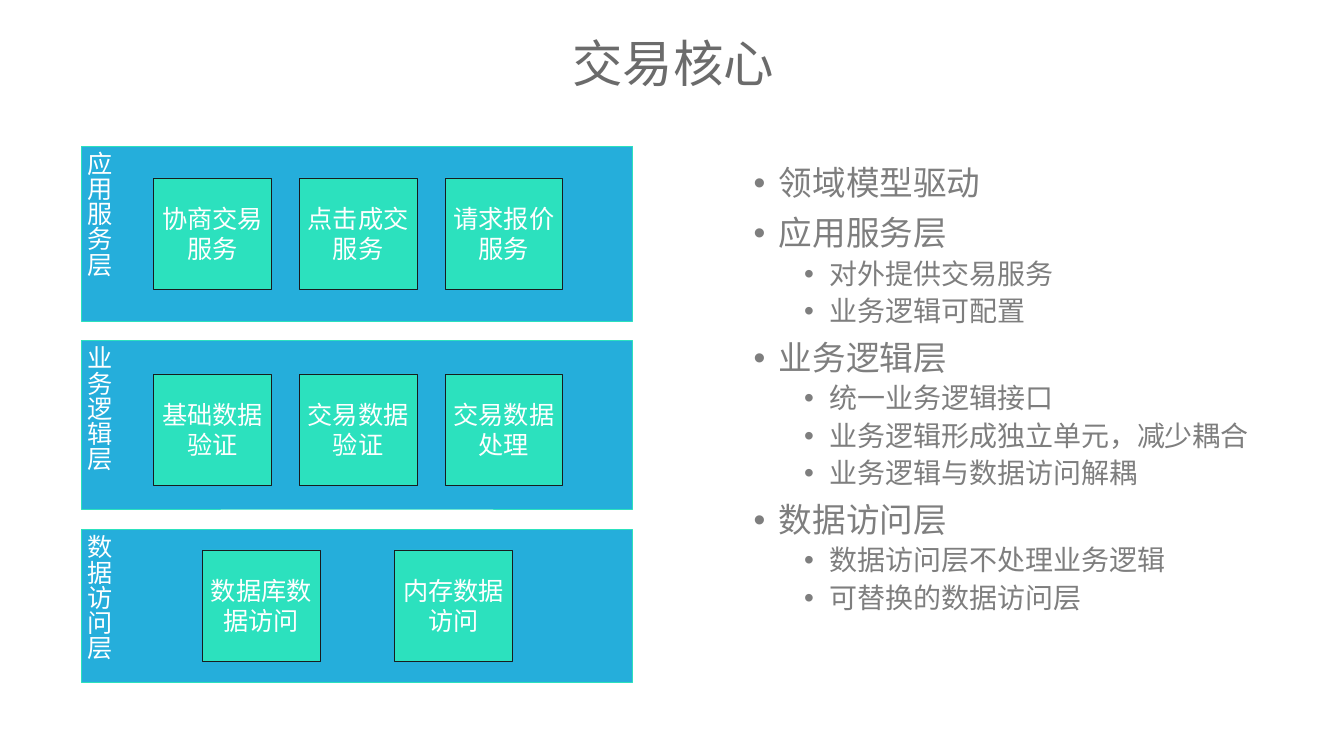
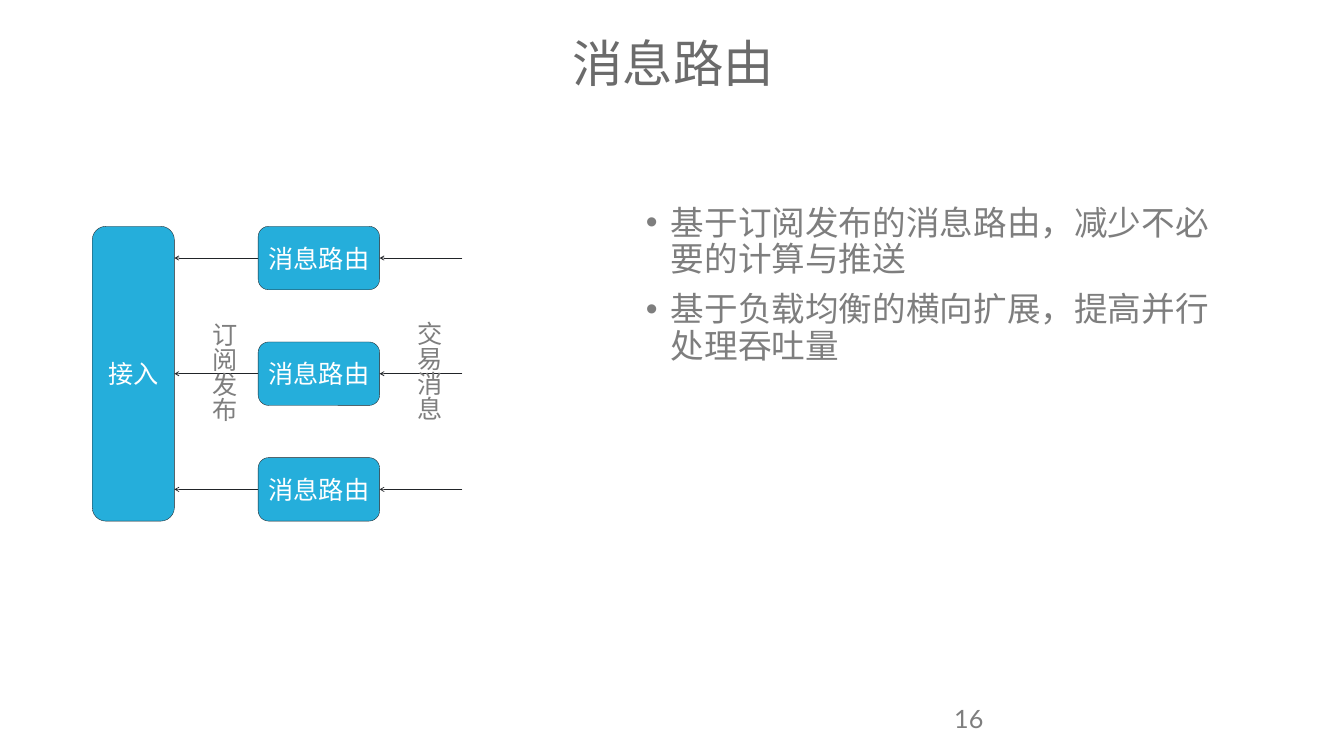
import pptx
import pptx.util
import pptx.dml.color
import pptx.enum.shapes
import pptx.enum.text
import pptx.oxml
import pptx.oxml.ns

Inches = pptx.util.Inches
Pt = pptx.util.Pt
SHAPE = pptx.enum.shapes.MSO_SHAPE
ANCHOR = pptx.enum.text.MSO_ANCHOR
ALIGN = pptx.enum.text.PP_ALIGN
FIT = pptx.enum.text.MSO_AUTO_SIZE
qn = pptx.oxml.ns.qn

COLORS = {
    "title": "6B6B6B",
    "text": "7E7E7E",
    "white": "FFFFFF",
    "blue": "25AEDB",
    "green": "2CE1BE",
    "box_line": "181B1E",
    "line": "212428",
}
CJK = "Noto Sans CJK SC"
FRAME_GROW = {"auto_size": FIT.SHAPE_TO_FIT_TEXT, "word_wrap": False}
NO_INSETS = {"margin_left": 0, "margin_right": 0, "margin_top": 0, "margin_bottom": 0}
BODY_INSETS = {
    "margin_left": Inches(0.2), "margin_right": Inches(0.2),
    "margin_top": Inches(0.1), "margin_bottom": Inches(0.1),
}
BULLETS = [
    {"size": 48, "margin": 0.5, "before": 20},
    {"size": 40, "margin": 1.5, "before": 10},
]

LAYERS = [
    ("应用服务层", 2.9, 3.47, 3.53, 3.05, 2.89,
     ["协商交易服务", "点击成交服务", "请求报价服务"]),
    ("业务逻辑层", 6.76, 3.34, 7.42, 3.05, 2.89,
     ["基础数据验证", "交易数据验证", "交易数据处理"]),
    ("数据访问层", 10.51, 3.03, 10.91, 4.02, 3.81,
     ["数据库数据访问", "内存数据访问"]),
]
CORE_POINTS = [
    (0, "领域模型驱动"),
    (0, "应用服务层"),
    (1, "对外提供交易服务"),
    (1, "业务逻辑可配置"),
    (0, "业务逻辑层"),
    (1, "统一业务逻辑接口"),
    (1, "业务逻辑形成独立单元，减少耦合"),
    (1, "业务逻辑与数据访问解耦"),
    (0, "数据访问层"),
    (1, "数据访问层不处理业务逻辑"),
    (1, "可替换的数据访问层"),
]
ROUTING_POINTS = [
    (0, "基于订阅发布的消息路由，减少不必要的计算与推送"),
    (0, "基于负载均衡的横向扩展，提高并行处理吞吐量"),
]


def rgb(name):
    return pptx.dml.color.RGBColor.from_string(COLORS[name])


def apply(target, values):
    for name, value in values.items():
        setattr(target, name, value)


def add_text(p, text, size, color, font="Lato"):
    r = p.add_run()
    r.text = text
    apply(r.font, {"size": Pt(size), "name": font, "bold": False})
    r.font.color.rgb = rgb(color)
    ea = pptx.oxml.ns.qn("a:ea")
    r.font._element.makeelement(ea)
    latin = r.font._element.find(qn("a:latin"))
    latin.addnext(latin.makeelement(ea, {"typeface": CJK}))


def set_vertical(tf):
    tf._txBody.bodyPr.set("vert", "eaVert")


def add_slide(prs, title):
    s = prs.slides.add_slide(prs.slide_layouts[5])
    sp = s.shapes.title
    apply(sp, {"left": Inches(11.33), "top": Inches(0.63),
               "width": Inches(4.04), "height": Inches(1.21)})
    tf = sp.text_frame
    apply(tf, {**FRAME_GROW, **NO_INSETS, "vertical_anchor": ANCHOR.MIDDLE})
    p = tf.paragraphs[0]
    p.alignment = ALIGN.CENTER
    add_text(p, title, 72, "title", CJK)
    return s


def add_box(s, kind, at, text, fill, line, width, font="Lato"):
    sp = s.shapes.add_shape(kind, *map(Inches, at))
    sp.shadow.inherit = False
    sp.fill.solid()
    sp.fill.fore_color.rgb = rgb(fill)
    sp.line.color.rgb = rgb(line)
    sp.line.width = Pt(width)
    tf = sp.text_frame
    apply(tf, {"word_wrap": True, "vertical_anchor": ANCHOR.MIDDLE})
    p = tf.paragraphs[0]
    p.alignment = ALIGN.CENTER
    add_text(p, text, 36, "white", font)
    return sp


def add_layer(s, label, top, height, box_top, left, step, boxes):
    band = add_box(s, SHAPE.RECTANGLE, (1.61, top, 10.94, height),
                   label, "blue", "green", 0.5)
    band.text_frame.vertical_anchor = ANCHOR.BOTTOM
    set_vertical(band.text_frame)
    for i, text in enumerate(boxes):
        add_box(s, SHAPE.RECTANGLE, (left + i * step, box_top, 2.33, 2.21),
                text, "green", "box_line", 1)


def add_label(s, at, text, vertical=False):
    tf = s.shapes.add_textbox(*map(Inches, at)).text_frame
    if vertical:
        apply(tf, FRAME_GROW)
        set_vertical(tf)
    else:
        tf.word_wrap = True
    add_text(tf.paragraphs[0], text, 36, "text")


def add_bullets(s, at, points):
    tf = s.shapes.add_textbox(*map(Inches, at)).text_frame
    apply(tf, {**BODY_INSETS, "word_wrap": True})
    for i, (level, text) in enumerate(points):
        style = BULLETS[level]
        p = tf.add_paragraph() if i else tf.paragraphs[0]
        pPr = p._p.get_or_add_pPr()
        pPr.set("marL", str(Inches(style["margin"])))
        pPr.set("indent", str(Inches(-0.5)))
        for tag, key, value in (("a:buFont", "typeface", "Arial"),
                                ("a:buChar", "char", "•")):
            pPr.append(pPr.makeelement(qn(tag), {key: value}))
        apply(p, {"level": level, "line_spacing": 0.9,
                  "space_before": Pt(style["before"] if i else 0)})
        add_text(p, text, style["size"], "text", "Roboto")


def add_arrow(s, x1, x2, y):
    c = s.shapes.add_connector(pptx.enum.shapes.MSO_CONNECTOR.STRAIGHT,
                               *map(Inches, (x1, y, x2, y)))
    c.line.color.rgb = rgb("line")
    c.line.width = Pt(1)
    ln = c.line._get_or_add_ln()
    ln.append(ln.makeelement(qn("a:tailEnd"), {"type": "arrow"}))
    spPr = c._element.spPr
    spPr.append(spPr.makeelement(qn("a:effectLst")))
    return c


def build_core(prs):
    s = add_slide(prs, "交易核心")
    add_bullets(s, (14.75, 3.2, 10.6, 9.52), CORE_POINTS)
    for layer in LAYERS:
        add_layer(s, *layer)


def build_routing(prs):
    s = add_slide(prs, "消息路由")
    add_bullets(s, (12.61, 3.99, 12.22, 9.52), ROUTING_POINTS)
    add_label(s, (18.83, 13.9, 6, 0.8), "16")

    left, top, width, height = 1.83, 4.49, 1.63, 5.85
    router_left, router_width, router_height = 5.12, 2.41, 1.26
    step = (height - router_height) / 2
    access = add_box(s, SHAPE.ROUNDED_RECTANGLE, (left, top, width, height),
                     "接入", "blue", "line", 0.5, CJK)
    for i in range(3):
        y = top + i * step
        middle = y + router_height / 2
        router = add_box(s, SHAPE.ROUNDED_RECTANGLE,
                         (router_left, y, router_width, router_height),
                         "消息路由", "blue", "line", 0.5, CJK)
        outgoing = add_arrow(s, router_left, left + width, middle)
        outgoing.begin_connect(router, 1)
        if i == 1:
            outgoing.end_connect(access, 3)
        incoming = add_arrow(s, 9.17, router_left + router_width, middle)
        incoming.end_connect(router, 3)

    add_label(s, (8.05, 6.27, 0.81, 2.12), "交易消息", vertical=True)
    add_label(s, (3.99, 6.29, 0.81, 2.12), "订阅发布", vertical=True)


def main():
    prs = pptx.Presentation()
    prs.slide_width = Inches(26.66)
    prs.slide_height = Inches(15)
    build_core(prs)
    build_routing(prs)
    prs.save("out.pptx")


if __name__ == "__main__":
    main()
